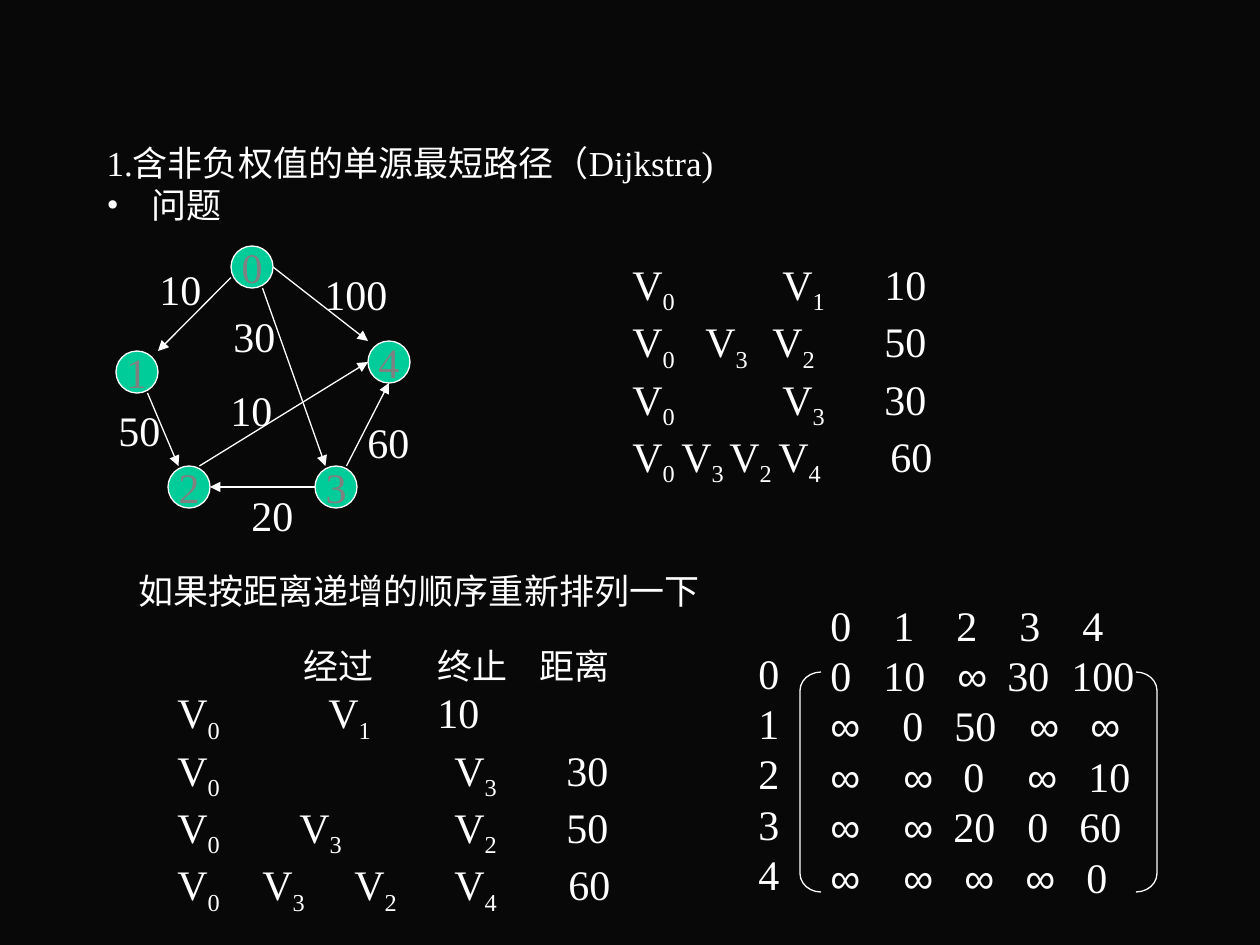
from lxml import etree
from pptx import Presentation
from pptx import util as u
from pptx.dml.color import RGBColor
from pptx.enum import shapes, text
from pptx.oxml.ns import qn

PX = 914400 / 126
BLACK = RGBColor(0x08, 0x08, 0x08)
WHITE = RGBColor(0xFF, 0xFF, 0xFF)
GREEN = RGBColor(0x00, 0xCC, 0x99)
GRAY = RGBColor(0x80, 0x80, 0x80)
SERIF, SANS = "Times New Roman", "Arial"
NODE = 42
LINE = 28.8
SUB_LINE = 32.8


def px(value):
    """Turn pixels into EMU."""
    return u.Emu(round(value * PX))


def place(box, left, top, width, height):
    """Move and size a shape in pixels."""
    box.left, box.top, box.width, box.height = map(px, (left, top, width, height))


def add_span(para, words, size=24, color=WHITE, sub=False):
    """Add one formatted run."""
    span = para.add_run()
    span.text = words
    span.font.size = u.Pt(size)
    span.font.name = SANS if "∞" in words else SERIF
    span.font.color.rgb = color
    if sub:
        span.font._element.set("baseline", "-25000")


def set_frame(frame):
    """Give a text frame the margins used on this page."""
    frame.word_wrap = True
    frame.auto_size = text.MSO_AUTO_SIZE.NONE
    frame.vertical_anchor = text.MSO_ANCHOR.TOP
    frame.margin_left, frame.margin_right = u.Inches(0.1), 0
    frame.margin_top = frame.margin_bottom = u.Inches(0.05)


def add_row(para, cells, size, spacing):
    """Write (stop, words) cells at tab stops, lowering the digit of each V."""
    tabs = etree.SubElement(para._p.get_or_add_pPr(), qn("a:tabLst"))
    for stop, words in cells:
        if stop:
            etree.SubElement(tabs, qn("a:tab"), pos=str(px(stop)), algn="l")
            add_span(para, "\t", size)
        if words.startswith("V"):
            add_span(para, "V", size)
            add_span(para, words[1:], size, sub=True)
        else:
            add_span(para, words, size)
    para.line_spacing = u.Pt(spacing)


def add_rows(page, left, top, width, height, rows):
    """Add a text box holding (cells, size, spacing) rows."""
    box = page.shapes.add_textbox(0, 0, 0, 0)
    place(box, left, top, width, height)
    frame = box.text_frame
    set_frame(frame)
    for index, row in enumerate(rows):
        para = frame.add_paragraph() if index else frame.paragraphs[0]
        add_row(para, *row)


def add_label(page, left, top, width, words, size=24):
    """Add a single line of text."""
    add_rows(page, left, top, width, 63, [([(0, words)], size, size * 1.2)])


def add_heading(page, left, top, width, height):
    """Fill the title with the heading and its bullet."""
    title = page.shapes.title
    place(title, left, top, width, height)
    set_frame(title.text_frame)
    heading, topic = title.text_frame.paragraphs[0], title.text_frame.add_paragraph()
    props = topic._p.get_or_add_pPr()
    props.set("marL", str(px(45)))
    props.set("indent", str(-px(45)))
    etree.SubElement(props, qn("a:buFont"), typeface=SERIF)
    etree.SubElement(props, qn("a:buChar"), char="•")
    for para, words in ((heading, "1.含非负权值的单源最短路径（Dijkstra)"), (topic, "问题")):
        para.alignment = text.PP_ALIGN.LEFT
        para.line_spacing = u.Pt(24)
        para.space_before = u.Pt(0)
        add_span(para, words, 20)


def add_arrow(page, start, end):
    """Draw a white arrow between two points."""
    arrow = page.shapes.add_connector(shapes.MSO_CONNECTOR.STRAIGHT, *map(px, start + end))
    arrow.line.color.rgb = WHITE
    arrow.line.width = u.Pt(0.75)
    etree.SubElement(arrow.line._get_or_add_ln(), qn("a:tailEnd"), type="triangle")
    etree.SubElement(arrow._element.spPr, qn("a:effectLst"))


def add_graph(page, left, top):
    """Draw the weighted directed graph; ports are quarters of a node."""
    nodes = [(115, 0), (0, 105), (52, 220), (199, 220), (252, 95)]
    for name, (x, y) in enumerate(nodes):
        node = page.shapes.add_shape(shapes.MSO_SHAPE.OVAL, 0, 0, 0, 0)
        place(node, left + x, top + y, NODE, NODE)
        node.shadow.inherit = False
        node.fill.solid()
        node.fill.fore_color.rgb = GREEN
        node.line.color.rgb = WHITE
        node.line.width = u.Pt(0.75)
        frame = node.text_frame
        set_frame(frame)
        frame.margin_left = 0
        frame.word_wrap = False
        frame.vertical_anchor = text.MSO_ANCHOR.MIDDLE
        para = frame.paragraphs[0]
        para.alignment = text.PP_ALIGN.CENTER
        para.line_spacing = u.Pt(LINE)
        add_span(para, str(name), color=GRAY)

    def port(name, across, down):
        """Find a point on the box around a node."""
        x, y = nodes[name]
        return left + x + NODE * across / 4, top + y + NODE * down / 4

    edges = [
        ((0, 0, 3), (1, 4, 0), "10", 31, 11),
        ((0, 4, 2), (4, 0, 0), "100", 196, 16),
        ((1, 3, 4), (2, 1, 0), "50", -10, 152),
        ((3, 0, 2), (2, 4, 2), "20", 123, 237),
        ((3, 3, 0), (4, 2, 4), "60", 239, 164),
        ((2, 3, 0), (4, 0, 2), "10", 102, 132),
        ((0, 3, 4), (3, 1, 0), "30", 105, 58),
    ]
    for start, end, weight, x, y in edges:
        add_arrow(page, port(*start), port(*end))
        add_label(page, left + x, top + y, 25 + 21 * len(weight), weight)


def add_paths(page, left, top):
    """List the shortest path to each vertex."""
    rows = [
        [(0, "V0"), (150, "V1"), (252, "10")],
        [(0, "V0"), (73, "V3"), (140, "V2"), (252, "50")],
        [(0, "V0"), (150, "V3"), (252, "30")],
        [(0, "V0"), (49, "V3"), (97, "V2"), (146, "V4"), (258, "60")],
    ]
    add_rows(page, left, top, 325, 242, [(row, 24, SUB_LINE) for row in rows])


def add_sorted_paths(page, left, top):
    """List the paths by growing distance under their header."""
    header = [(126, "经过"), (260, "终止"), (362, "距离")]
    rows = [
        [(0, "V0"), (151, "V1"), (260, "10")],
        [(0, "V0"), (277, "V3"), (389, "30")],
        [(0, "V0"), (122, "V3"), (277, "V2"), (389, "50")],
        [(0, "V0"), (85, "V3"), (177, "V2"), (277, "V4"), (391, "60")],
    ]
    lines = [(header, 20, LINE)] + [(row, 24, SUB_LINE) for row in rows]
    add_rows(page, left, top, 457, 292, lines)


def add_matrix(page, left, top):
    """Draw the bracketed adjacency matrix with its row and column names."""
    rows = [
        ("0 1 2 3 4", (0, 63, 126, 189, 252)),
        ("0 10 ∞ 30 100", (0, 53, 127, 177, 241)),
        ("∞ 0 50 ∞ ∞", (0, 72, 124, 199, 260)),
        ("∞ ∞ 0 ∞ 10", (0, 73, 133, 197, 258)),
        ("∞ ∞ 20 0 60", (0, 73, 123, 197, 249)),
        ("∞ ∞ ∞ ∞ 0", (0, 73, 134, 195, 256)),
    ]
    lines = [(list(zip(stops, words.split())), 24, LINE) for words, stops in rows]
    add_rows(page, left + 72, top + 2, 330, 315, lines)
    names = [([(0, str(name))], 24, LINE) for name in range(5)]
    add_rows(page, left, top + 50, 45, 265, names)
    sides = ((shapes.MSO_SHAPE.LEFT_BRACKET, 54), (shapes.MSO_SHAPE.RIGHT_BRACKET, 390))
    for kind, x in sides:
        bracket = page.shapes.add_shape(kind, 0, 0, 0, 0)
        place(bracket, left + x, top + 81, 21, 220)
        bracket.adjustments[0] = 0.88
        bracket.shadow.inherit = False
        bracket.fill.background()
        bracket.line.color.rgb = WHITE
        bracket.line.width = u.Pt(0.75)


def main():
    """Build the shortest path page."""
    deck = Presentation()
    deck.slide_width, deck.slide_height = px(1260), px(945)
    page = deck.slides.add_slide(deck.slide_layouts[5])
    page.background.fill.solid()
    page.background.fill.fore_color.rgb = BLACK
    add_heading(page, 94, 135, 649, 97)
    add_graph(page, 116, 246)
    add_paths(page, 620, 252)
    add_label(page, 126, 563, 586, "如果按距离递增的顺序重新排列一下", 20)
    add_sorted_paths(page, 165, 630)
    add_matrix(page, 746, 591)
    deck.save("out.pptx")


if __name__ == "__main__":
    main()
